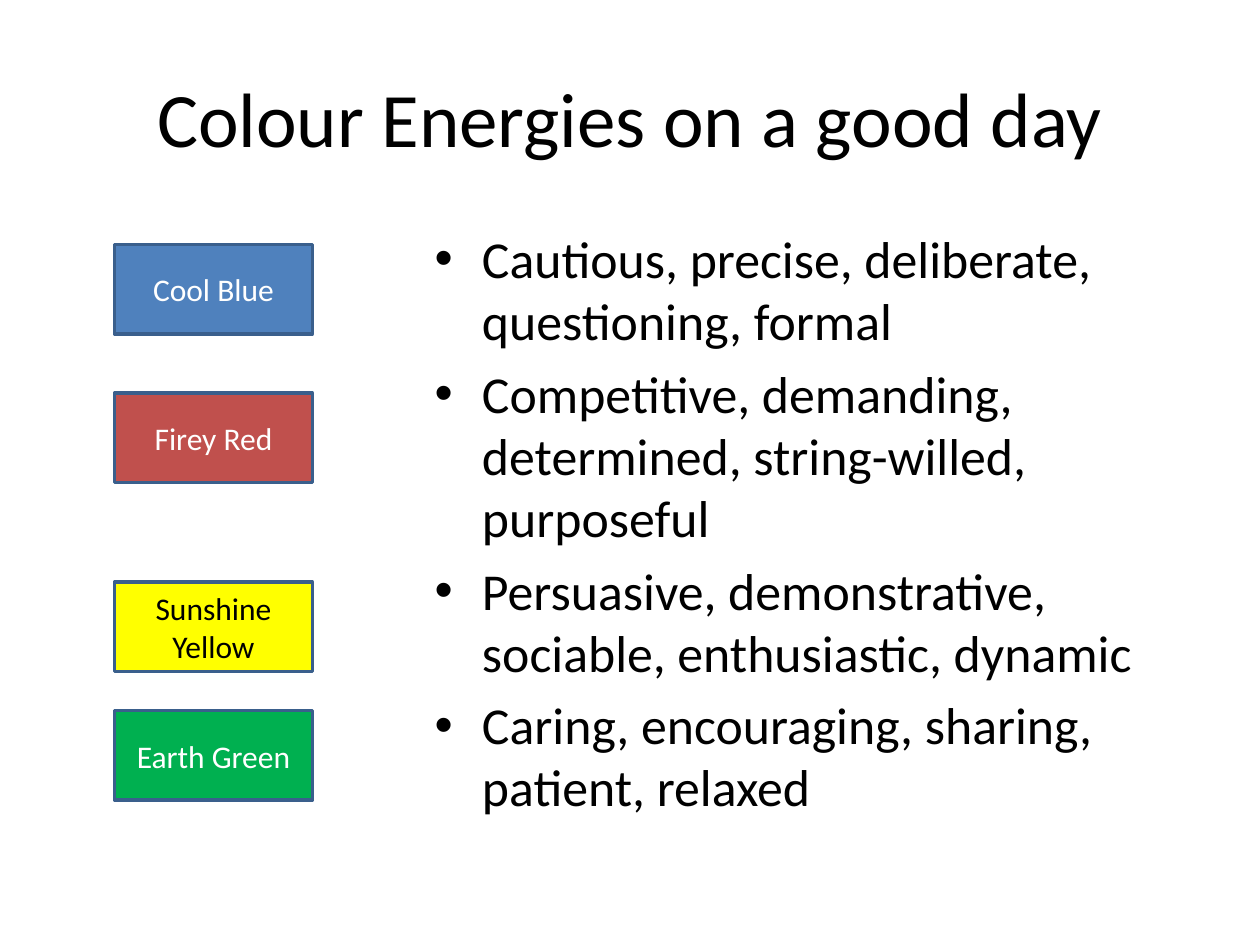
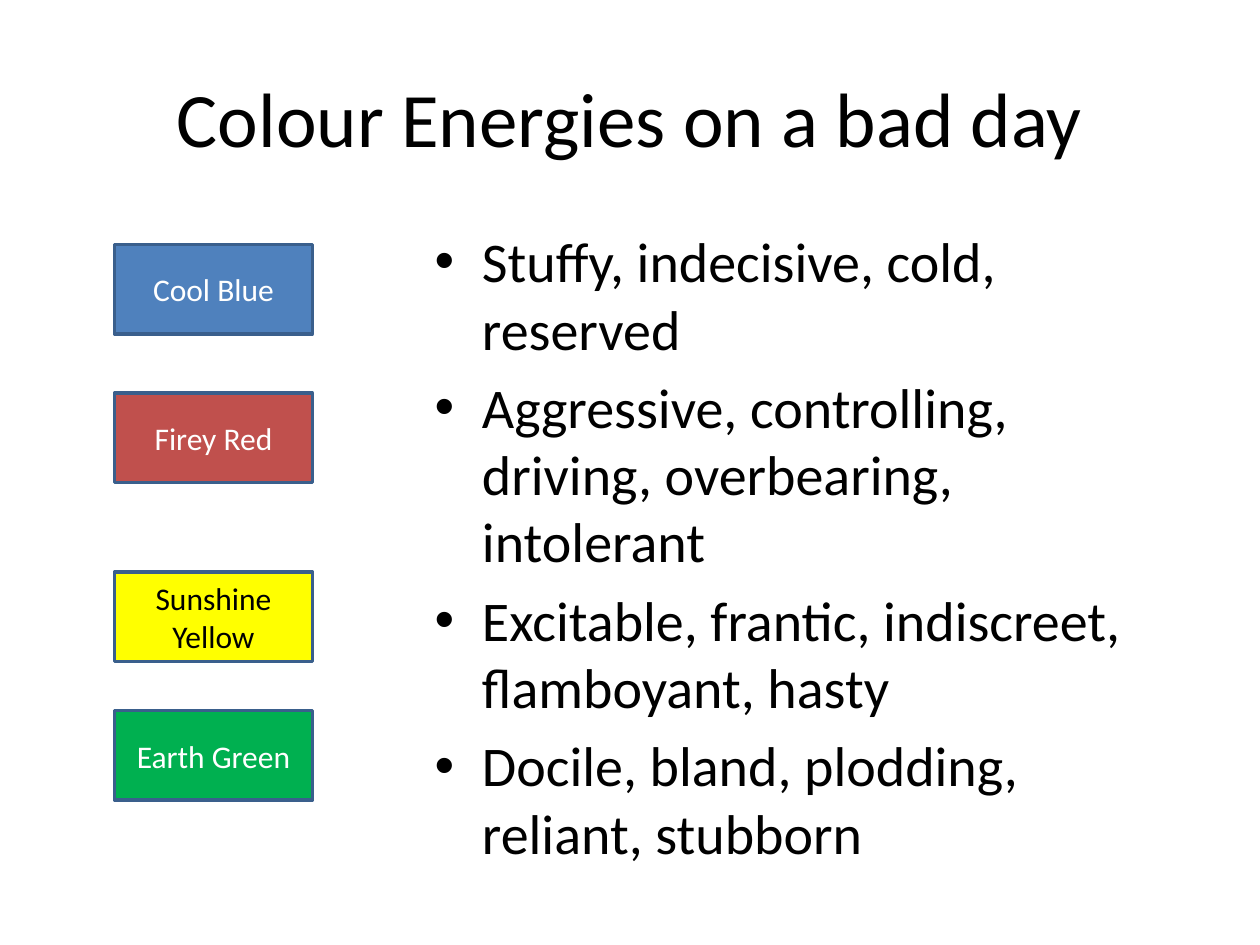
from pptx import Presentation
from pptx.dml.color import RGBColor
from pptx.enum.shapes import MSO_SHAPE
from pptx.enum.text import MSO_ANCHOR, MSO_AUTO_SIZE, PP_ALIGN
from pptx.util import Inches, Pt

RECT = MSO_SHAPE.RECTANGLE
MIDDLE, TOP = MSO_ANCHOR.MIDDLE, MSO_ANCHOR.TOP
CENTER, LEFT = PP_ALIGN.CENTER, PP_ALIGN.LEFT
NO_FIT = MSO_AUTO_SIZE.NONE

# Shared look
WIDTH, HEIGHT = 10, 7.5
FONT, BLACK, WHITE, OUTLINE = "Calibri", "000000", "FFFFFF", "3A5F8C"
TITLE_BOX = (0.5, 0.3, 9, 1.25)
BODY_BOX = (3.35, 1.75, 6.15, 4.95)
LABEL_LEFT, LABEL_WIDTH, LABEL_HEIGHT = 0.91, 1.57, 0.71

# Name, fill and text colour of each energy
ENERGIES = [
    ("Cool Blue", "4F81BD", WHITE),
    ("Firey Red", "C0504D", WHITE),
    ("Sunshine Yellow", "FFFF00", BLACK),
    ("Earth Green", "00B050", WHITE),
]

# Title, list size, label tops and traits of each slide
DAYS = [
    ("Colour Energies on a good day", 29.6, (1.94, 3.12, 4.62, 5.64), [
        "Cautious, precise, deliberate, questioning, formal",
        "Competitive, demanding, determined, string-willed, purposeful",
        "Persuasive, demonstrative, sociable, enthusiastic, dynamic",
        "Caring, encouraging, sharing, patient, relaxed",
    ]),
    ("Colour Energies on a bad day", 32, (1.94, 3.12, 4.54, 5.64), [
        "Stuffy, indecisive, cold, reserved",
        "Aggressive, controlling, driving, overbearing, intolerant",
        "Excitable, frantic, indiscreet, flamboyant, hasty",
        "Docile, bland, plodding, reliant, stubborn",
    ]),
]


def rgb(hex_colour):
    return RGBColor.from_string(hex_colour)


def set_attrs(obj, values):
    for name, value in values.items():
        setattr(obj, name, value)


def place(sp, box):
    names = ("left", "top", "width", "height")
    set_attrs(sp, dict(zip(names, map(Inches, box))))


def write(sp, lines, size, colour=BLACK, align=CENTER, anchor=MIDDLE):
    """Fill a shape with one paragraph per line."""
    tf = sp.text_frame
    set_attrs(tf, {"word_wrap": True, "auto_size": NO_FIT,
                   "vertical_anchor": anchor})
    for i, line in enumerate(lines):
        p = tf.add_paragraph() if i else tf.paragraphs[0]
        p.alignment = align
        r = p.add_run()
        r.text = line
        set_attrs(r.font, {"name": FONT, "size": Pt(size)})
        r.font.color.rgb = rgb(colour)


def add_label(s, name, fill, colour, top):
    """Coloured box that names an energy."""
    box = (LABEL_LEFT, top, LABEL_WIDTH, LABEL_HEIGHT)
    sp = s.shapes.add_shape(RECT, *map(Inches, box))
    sp.shadow.inherit = False
    sp.fill.solid()
    sp.fill.fore_color.rgb = rgb(fill)
    sp.line.color.rgb = rgb(OUTLINE)
    sp.line.width = Pt(2)
    write(sp, [name], 18, colour)


def add_day(prs, title, size, tops, traits):
    s = prs.slides.add_slide(prs.slide_layouts[1])
    # Title and list of traits
    heading, body = s.shapes.title, s.placeholders[1]
    place(heading, TITLE_BOX)
    write(heading, [title], 44)
    place(body, BODY_BOX)
    write(body, traits, size, align=LEFT, anchor=TOP)
    # Energy labels
    for energy, top in zip(ENERGIES, tops):
        add_label(s, *energy, top)


def main():
    prs = Presentation()
    set_attrs(prs, {"slide_width": Inches(WIDTH),
                    "slide_height": Inches(HEIGHT)})
    for day in DAYS:
        add_day(prs, *day)
    prs.save("out.pptx")


if __name__ == "__main__":
    main()
